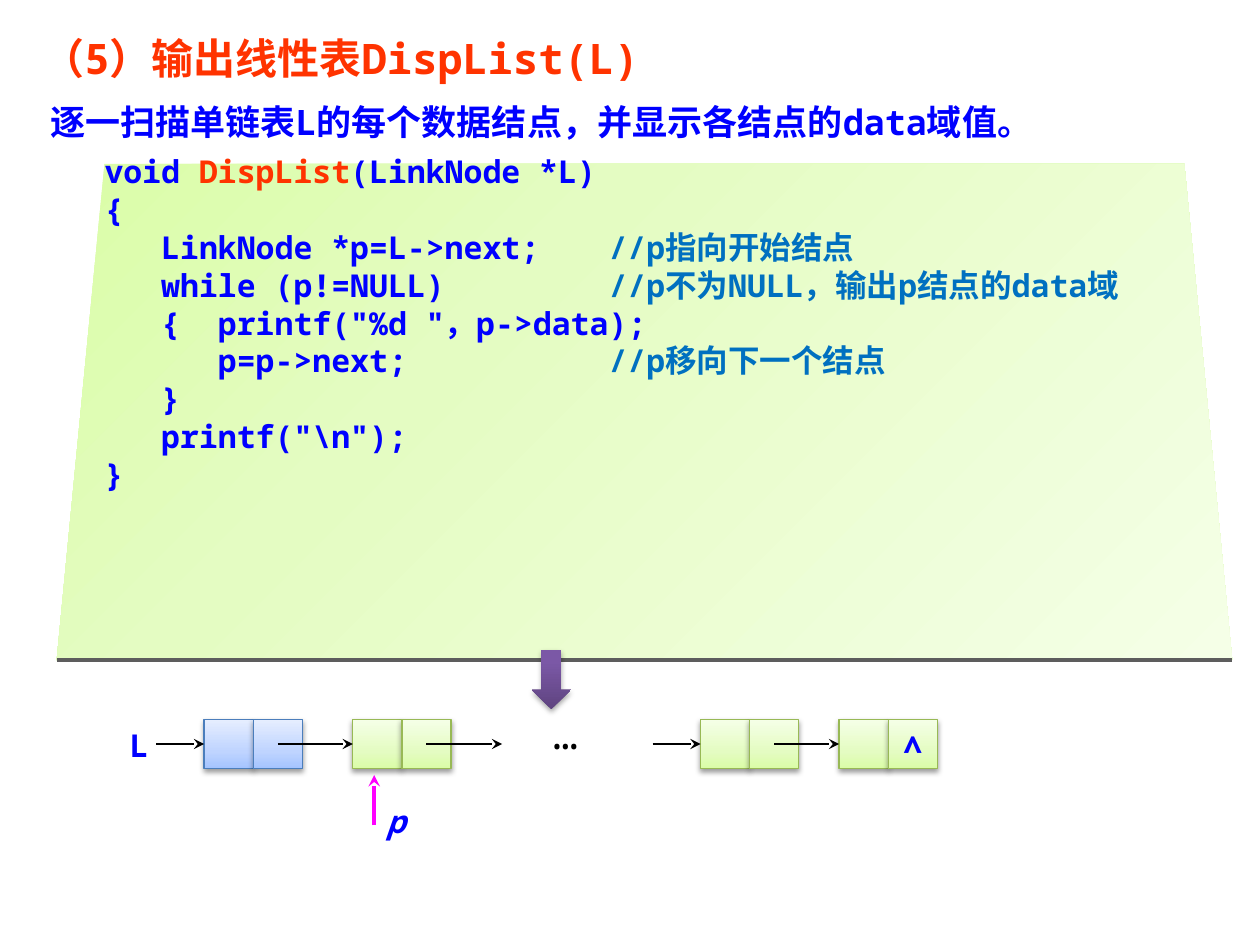
from pptx import Presentation
from pptx.dml.color import RGBColor
from pptx.enum.shapes import MSO_CONNECTOR, MSO_SHAPE
from pptx.enum.text import MSO_ANCHOR, PP_ALIGN
from pptx.oxml import parse_xml
from pptx.oxml.ns import nsdecls, qn
from pptx.util import Inches, Pt

FONT = "Noto Sans Mono"
BLUE, RED, COMMENT, BLACK = "0000FF", "FF3300", "0070C0", "000000"
GREEN_STOPS = [(0, "DAFDA7"), (35, "E4FCC2"), (100, "F5FFE7")]
BLUE_STOPS = [(0, "A4C4FF"), (35, "BFD4FF"), (100, "E6EEFF")]
PURPLE_STOPS = [(0, "5F4480"), (80, "7B58A6"), (100, "7C57A8")]
CELL = 0.39
CODE_TABS = (3, 4)

CODE = [
    [("void ", BLUE), ("DispList", RED), ("(LinkNode *L)", BLUE)],
    [("{", BLUE)],
    [("   LinkNode *p=L->next;\t", BLUE), ("//p指向开始结点", COMMENT)],
    [("   while (p!=NULL)\t\t", BLUE), ("//p不为NULL，输出p结点的data域", COMMENT)],
    [("   {  printf(\"%d \"，p->data);", BLUE)],
    [("      p=p->next;\t\t", BLUE), ("//p移向下一个结点", COMMENT)],
    [("   }", BLUE)],
    [("   printf(\"\\n\");", BLUE)],
    [("}", BLUE)],
]


def color(value):
    return RGBColor.from_string(value)


def write(paragraph, text, size=18, fill=BLUE, bold=True, italic=False):
    run = paragraph.add_run()
    run.text = text
    run.font.name, run.font.size = FONT, Pt(size)
    run.font.bold, run.font.italic = bold, italic
    run.font.color.rgb = color(fill)


def set_tabs(paragraph, positions):
    stops = "".join(f'<a:tab pos="{Inches(position)}" algn="l"/>' for position in positions)
    paragraph._p.get_or_add_pPr().append(
        parse_xml(f'<a:tabLst {nsdecls("a")}>{stops}</a:tabLst>'))


def add_text_frame(slide, left, top, width, height, inset=(0.1, 0.05)):
    box = slide.shapes.add_textbox(Inches(left), Inches(top), Inches(width), Inches(height))
    frame = box.text_frame
    frame.word_wrap = True
    frame.margin_left = frame.margin_right = Inches(inset[0])
    frame.margin_top = frame.margin_bottom = Inches(inset[1])
    return frame


def add_label(slide, text, left, top, width, height, **style):
    write(add_text_frame(slide, left, top, width, height).paragraphs[0], text, **style)


def add_gradient_shape(slide, kind, left, top, width, height, stops, angle=270,
                       outline=None, shadow_alpha=0):
    shape = slide.shapes.add_shape(kind, Inches(left), Inches(top), Inches(width), Inches(height))
    shape.fill.background()
    stop_xml = "".join(f'<a:gs pos="{position * 1000}"><a:srgbClr val="{value}"/></a:gs>'
                       for position, value in stops)
    properties = shape.fill._xPr
    properties.replace(properties.find(qn("a:noFill")), parse_xml(
        f'<a:gradFill {nsdecls("a")} rotWithShape="1"><a:gsLst>{stop_xml}</a:gsLst>'
        f'<a:lin ang="{angle * 60000}" scaled="0"/></a:gradFill>'))
    if outline:
        shape.line.color.rgb = color(outline)
        shape.line.width = Pt(0.75)
    else:
        shape.line.fill.background()
    shape.shadow.inherit = False
    if shadow_alpha:
        properties.find(qn("a:effectLst")).append(parse_xml(
            f'<a:outerShdw {nsdecls("a")} blurRad="{Pt(3.1)}" dist="{Pt(1.6)}" dir="5400000" '
            f'rotWithShape="0"><a:srgbClr val="000000"><a:alpha val="{shadow_alpha * 1000}"/>'
            '</a:srgbClr></a:outerShdw>'))
    return shape


def add_line(slide, start, end, stroke=BLACK, width=0.75, arrow=True, target=None):
    """Draw a line; a target shape is joined at the middle of its left side."""
    line = slide.shapes.add_connector(MSO_CONNECTOR.STRAIGHT, *map(Inches, start + end))
    line.line.color.rgb = color(stroke)
    line.line.width = Pt(width)
    if arrow:
        line.line._get_or_add_ln().append(parse_xml(f'<a:tailEnd {nsdecls("a")} type="stealth"/>'))
    line._element.spPr.append(parse_xml(f'<a:effectLst {nsdecls("a")}/>'))
    if target is not None:
        line.end_connect(target, 1)


def add_heading(slide, left, top, width, height):
    frame = add_text_frame(slide, left, top, width, height)
    title, summary = frame.paragraphs[0], frame.add_paragraph()
    for paragraph, indent in ((title, 0.07), (summary, 0.13)):
        paragraph.alignment = PP_ALIGN.JUSTIFY
        paragraph._p.get_or_add_pPr().set("marL", str(Inches(indent)))
    summary.space_before = Pt(10)
    write(title, "（5）输出线性表DispList(L)", size=24, fill=RED)
    write(summary, "逐一扫描单链表L的每个数据结点，并显示各结点的data域值。", size=20)


def add_code_panel(slide, left, top, width, height):
    bottom = top + height
    panel = add_gradient_shape(slide, MSO_SHAPE.TRAPEZOID, left, top, width, height,
                               GREEN_STOPS, angle=45)
    panel.adjustments[0] = 0.38 / height
    add_line(slide, (left, bottom), (left + width, bottom), "5D5D5D", 2.25, arrow=False)
    frame = add_text_frame(slide, left + 0.22, top - 0.21, width - 0.43, height + 0.24, (0.16, 0.12))
    for index, parts in enumerate(CODE):
        paragraph = frame.paragraphs[0] if index == 0 else frame.add_paragraph()
        set_tabs(paragraph, CODE_TABS)
        for text, fill in parts:
            write(paragraph, text, fill=fill)


def add_node(slide, left, top, stops=GREEN_STOPS, outline="98B955"):
    """Draw a data cell and a pointer cell, and return both."""
    return [add_gradient_shape(slide, MSO_SHAPE.RECTANGLE, left + i * CELL, top, CELL, CELL,
                               stops, outline=outline, shadow_alpha=38) for i in range(2)]


def add_linked_list(slide, left, top):
    middle = top + CELL / 2
    head_left, first_left, next_left, last_left = (left + x for x in (0.69, 1.87, 4.63, 5.73))
    pointer = 1.5 * CELL
    head = add_node(slide, head_left, top, BLUE_STOPS, "4B7EBC")
    first = add_node(slide, first_left, top)
    following = add_node(slide, next_left, top)
    last = add_node(slide, last_left, top)

    for start, node in ((head_left - 0.38, head), (head_left + pointer, first),
                        (next_left - 0.38, following), (next_left + pointer, last)):
        add_line(slide, (start, middle), (start + 0.38, middle), target=node[0])
    open_start = first_left + pointer
    add_line(slide, (open_start, middle), (open_start + 0.6, middle))

    frame = last[1].text_frame
    frame.word_wrap = False
    frame.vertical_anchor = MSO_ANCHOR.MIDDLE
    frame.paragraphs[0].alignment = PP_ALIGN.CENTER
    write(frame.paragraphs[0], "∧")

    add_label(slide, "L", left, top, 0.29, 0.4)
    add_label(slide, "…", left + 3.36, top - 0.14, 0.79, 0.5, size=24, fill=BLACK, bold=False)
    add_label(slide, "p", left + 2.04, top + 0.61, 0.42, 0.4, italic=True)
    add_line(slide, (left + 2.04, top + 0.84), (left + 2.04, top + 0.44), "FF00FF", 2.25)


def main():
    presentation = Presentation()
    presentation.slide_width, presentation.slide_height = Inches(10), Inches(7.5)
    slide = presentation.slides.add_slide(presentation.slide_layouts[6])
    add_heading(slide, 0.17, 0.21, 9.25, 1.01)
    add_code_panel(slide, 0.45, 1.3, 9.33, 3.94)
    add_linked_list(slide, 0.93, 5.71)
    add_gradient_shape(slide, MSO_SHAPE.DOWN_ARROW, 4.22, 5.16, 0.31, 0.47,
                       PURPLE_STOPS, shadow_alpha=35)
    presentation.save("out.pptx")


if __name__ == "__main__":
    main()
